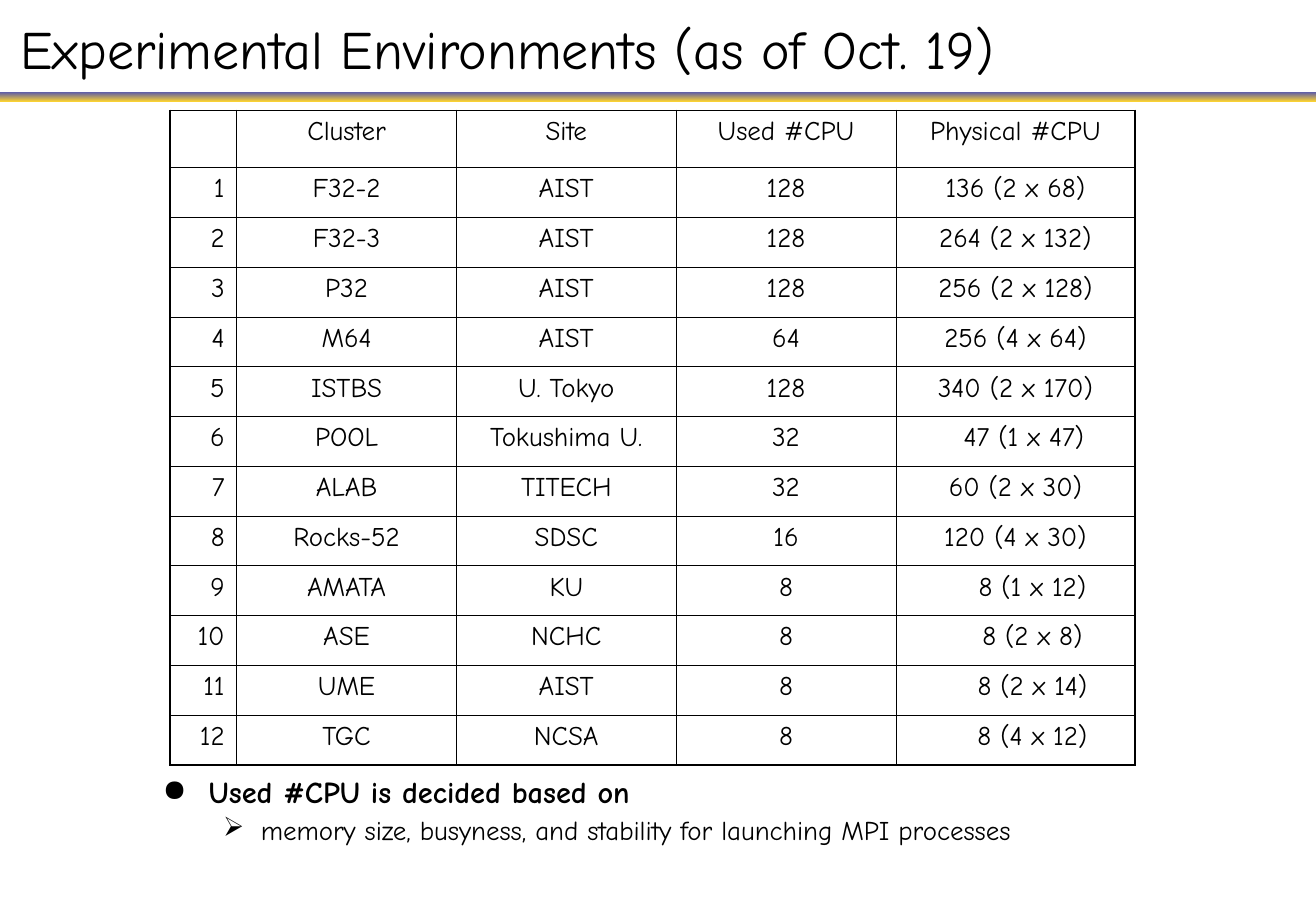
import pptx
import pptx.dml.color
import pptx.enum.shapes
import pptx.enum.text
import pptx.oxml
import pptx.oxml.ns
import pptx.util
from pptx.util import Inches

ALIGN = pptx.enum.text.PP_ALIGN
NAMESPACE = pptx.oxml.ns.nsdecls("a")


def rgb(hex_colour):
    return pptx.dml.color.RGBColor.from_string(hex_colour)


def style(paragraph, size, bold=False):
    for run in paragraph.runs:
        run.font.name = "Comic Neue"
        run.font.size = pptx.util.Pt(size)
        run.font.bold = bold
        run.font.color.rgb = rgb("000000")


presentation = pptx.Presentation()
presentation.slide_width = Inches(10.84)
presentation.slide_height = Inches(7.5)
slide = presentation.slides.add_slide(presentation.slide_layouts[6])

# Gradient rule under the title
rule = slide.shapes.add_shape(
    pptx.enum.shapes.MSO_SHAPE.RECTANGLE, 0, Inches(0.76), Inches(10.84), Inches(0.08))
rule.shadow.inherit = False
rule.line.fill.background()
rule.fill.gradient()
rule.fill.gradient_angle = 270
for stop, colour, position in zip(rule.fill.gradient_stops, ("333399", "FFCC00"), (0, 1)):
    stop.color.rgb = rgb(colour)
    stop.position = position
for stop_colour in rule._element.spPr.iter(pptx.oxml.ns.qn("a:srgbClr")):
    stop_colour.append(pptx.oxml.parse_xml(f'<a:alpha {NAMESPACE} val="80000"/>'))

# Title
title = slide.shapes.add_textbox(Inches(0.07), Inches(0.05), Inches(9.91), Inches(0.69)).text_frame
title.word_wrap = True
title.vertical_anchor = pptx.enum.text.MSO_ANCHOR.MIDDLE
title.text = "Experimental Environments (as of Oct. 19)"
style(title.paragraphs[0], 32)

# Cluster table
header = ("", "Cluster", "Site", "Used #CPU", "Physical #CPU")
clusters = [
    ("F32-2", "AIST", "128", "136 (2 x 68)"),
    ("F32-3", "AIST", "128", "264 (2 x 132)"),
    ("P32", "AIST", "128", "256 (2 x 128)"),
    ("M64", "AIST", "64", "256 (4 x 64)"),
    ("ISTBS", "U. Tokyo", "128", "340 (2 x 170)"),
    ("POOL", "Tokushima U.", "32", "47 (1 x 47)"),
    ("ALAB", "TITECH", "32", "60 (2 x 30)"),
    ("Rocks-52", "SDSC", "16", "120 (4 x 30)"),
    ("AMATA", "KU", "8", "8 (1 x 12)"),
    ("ASE", "NCHC", "8", "8 (2 x 8)"),
    ("UME", "AIST", "8", "8 (2 x 14)"),
    ("TGC", "NCSA", "8", "8 (4 x 12)"),
]
rows = [header] + [(str(number), *cluster) for number, cluster in enumerate(clusters, 1)]
column_widths = (0.55, 1.81, 1.81, 1.81, 1.97)
physical_indents = {"47": 0.14, "8": 0.28}
last_row, last_column = len(rows) - 1, len(header) - 1

table = slide.shapes.add_table(
    len(rows), len(header), Inches(1.4), Inches(0.91), Inches(7.95), Inches(5.39)).table
table.first_row = False
table.horz_banding = False
for column, width in zip(table.columns, column_widths):
    column.width = Inches(width)

for row_index, row in enumerate(rows):
    table.rows[row_index].height = Inches(0.41 if row_index else 0.47)
    for column_index, text in enumerate(row):
        cell = table.cell(row_index, column_index)
        cell.fill.background()
        cell.text = text
        if column_index == last_column:
            cell.margin_left = Inches(0.1 + physical_indents.get(text.split()[0], 0))
        paragraph = cell.text_frame.paragraphs[0]
        paragraph.alignment = ALIGN.CENTER if column_index else ALIGN.RIGHT
        style(paragraph, 16)
        outer_edges = {
            "lnL": column_index == 0,
            "lnR": column_index == last_column,
            "lnT": row_index == 0,
            "lnB": row_index == last_row,
        }
        for order, (edge, is_outer) in enumerate(outer_edges.items()):
            width = pptx.util.Pt(1.08 if is_outer else 0.45)
            cell._tc.get_or_add_tcPr().insert(order, pptx.oxml.parse_xml(
                f'<a:{edge} {NAMESPACE} w="{width}"><a:solidFill>'
                f'<a:srgbClr val="000000"/></a:solidFill></a:{edge}>'))

# Notes on the CPU counts
remarks = [
    ("Used #CPU is decided based on", "●", 0.38, 0.38, 18, True),
    ("memory size, busyness, and stability for launching MPI processes",
     "➢", 0.81, 0.31, 16, False),
]
basis = slide.shapes.add_textbox(Inches(1.24), Inches(6.35), Inches(8.58), Inches(0.95)).text_frame
basis.word_wrap = True
basis.text = "\n".join(remark[0] for remark in remarks)
for level, (paragraph, remark) in enumerate(zip(basis.paragraphs, remarks)):
    _, bullet, margin, hanging, size, bold = remark
    paragraph.level = level
    paragraph.line_spacing = 0.9
    if level:
        paragraph.space_before = pptx.util.Pt(4)
    properties = paragraph._p.get_or_add_pPr()
    properties.set("marL", str(Inches(margin)))
    properties.set("indent", str(-Inches(hanging)))
    properties.append(pptx.oxml.parse_xml(
        f'<a:buClr {NAMESPACE}><a:srgbClr val="000000"/></a:buClr>'))
    properties.append(pptx.oxml.parse_xml(f'<a:buChar {NAMESPACE} char="{bullet}"/>'))
    style(paragraph, size, bold)

presentation.save("out.pptx")
